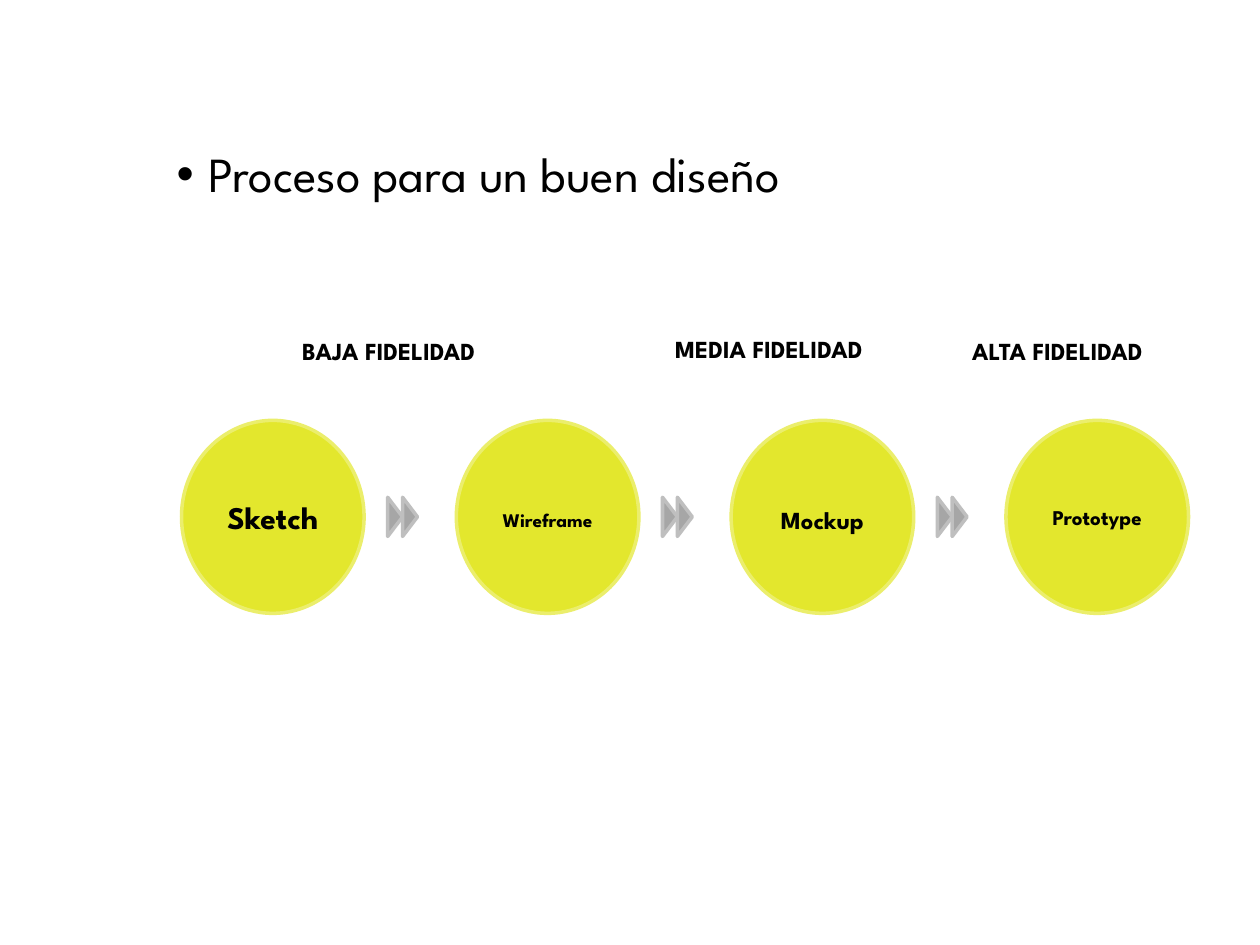
import pptx
import pptx.util
import pptx.dml.color
import pptx.enum.shapes
import pptx.enum.text
from lxml import etree

Cm = pptx.util.Cm
Pt = pptx.util.Pt
RGBColor = pptx.dml.color.RGBColor
KIND = pptx.enum.shapes.MSO_SHAPE
ALIGN = pptx.enum.text.PP_ALIGN
MID = pptx.enum.text.MSO_ANCHOR.MIDDLE
TOP = pptx.enum.text.MSO_ANCHOR.TOP

BLACK = RGBColor(0x00, 0x00, 0x00)
LIME = RGBColor(0xE3, 0xE7, 0x2D)
PALE = RGBColor(0xEB, 0xEE, 0x6C)
GREY = RGBColor(0xA6, 0xA6, 0xA6)
SILVER = RGBColor(0xBF, 0xBF, 0xBF)
FONT = "League Spartan"

TITLE = "Proceso para un buen diseño"
STEPS = [("Sketch", 18, 0), ("Wireframe", 11, 0.12),
         ("Mockup", 14, 0.12), ("Prototype", 12, 0)]
LABELS = [("BAJA FIDELIDAD", 5.84, 6.65),
          ("MEDIA FIDELIDAD", 13.36, 6.6),
          ("ALTA FIDELIDAD", 19.35, 6.65)]

LEFT, STEP = 3.66, 5.54
WIDE, HIGH = 3.68, 3.89
MIDDLE = 10.42
BASE, TIP = 0.79, 0.3
ARROW = 7.57


def write(shape, text, size, bold=True, align=ALIGN.LEFT, anchor=TOP,
          inset=None, drop=0, bullet=False):
    frame = shape.text_frame
    frame.word_wrap = True
    frame.vertical_anchor = anchor
    if inset is not None:
        frame.margin_left = frame.margin_right = Cm(inset)
        frame.margin_top = Cm(inset + drop)
        frame.margin_bottom = Cm(inset)
    para = frame.paragraphs[0]
    para.alignment = align
    if bullet:
        props = para._p.get_or_add_pPr()
        props.set("marL", str(Cm(0.64)))
        props.set("indent", str(-Cm(0.64)))
        para.line_spacing = 0.9
        for tag, key, value in (("buFont", "typeface", "Arial"),
                                ("buChar", "char", "•")):
            node = etree.SubElement(props, pptx.oxml.ns.qn("a:" + tag))
            node.set(key, value)
    run = para.add_run()
    run.text = text
    run.font.name = FONT
    run.font.size = Pt(size)
    run.font.bold = bold
    run.font.color.rgb = BLACK


def draw(slide, kind, left, top, wide, high, fill, line):
    shape = slide.shapes.add_shape(kind, Cm(left), Cm(top), Cm(wide), Cm(high))
    shape.shadow.inherit = False
    shape.fill.solid()
    shape.fill.fore_color.rgb = fill
    shape.line.color.rgb = line
    shape.line.width = Pt(2)
    return shape


def main():
    deck = pptx.Presentation()
    deck.slide_width, deck.slide_height = Cm(25.4), Cm(19.05)
    slide = deck.slides.add_slide(deck.slide_layouts[6])

    for i, (name, size, drop) in enumerate(STEPS):
        disc = draw(slide, KIND.FLOWCHART_CONNECTOR, LEFT + i * STEP,
                    MIDDLE - HIGH / 2, WIDE, HIGH, LIME, PALE)
        write(disc, name, size, align=ALIGN.CENTER, anchor=MID,
              inset=0.1, drop=drop)

    for i in range(len(STEPS) - 1):
        for j in range(2):
            head = draw(slide, KIND.ISOSCELES_TRIANGLE,
                        ARROW + i * STEP + j * TIP, MIDDLE - TIP / 2,
                        BASE, TIP, GREY, SILVER)
            head.rotation = 90

    for text, left, top in LABELS:
        box = slide.shapes.add_textbox(Cm(left), Cm(top), Cm(4.83), Cm(0.86))
        write(box, text, 14)

    box = slide.shapes.add_textbox(Cm(3.56), Cm(2.21), Cm(20.52), Cm(2.69))
    write(box, TITLE, 28, bold=False, align=ALIGN.JUSTIFY, anchor=MID,
          inset=0, bullet=True)

    deck.save("out.pptx")


if __name__ == "__main__":
    main()
